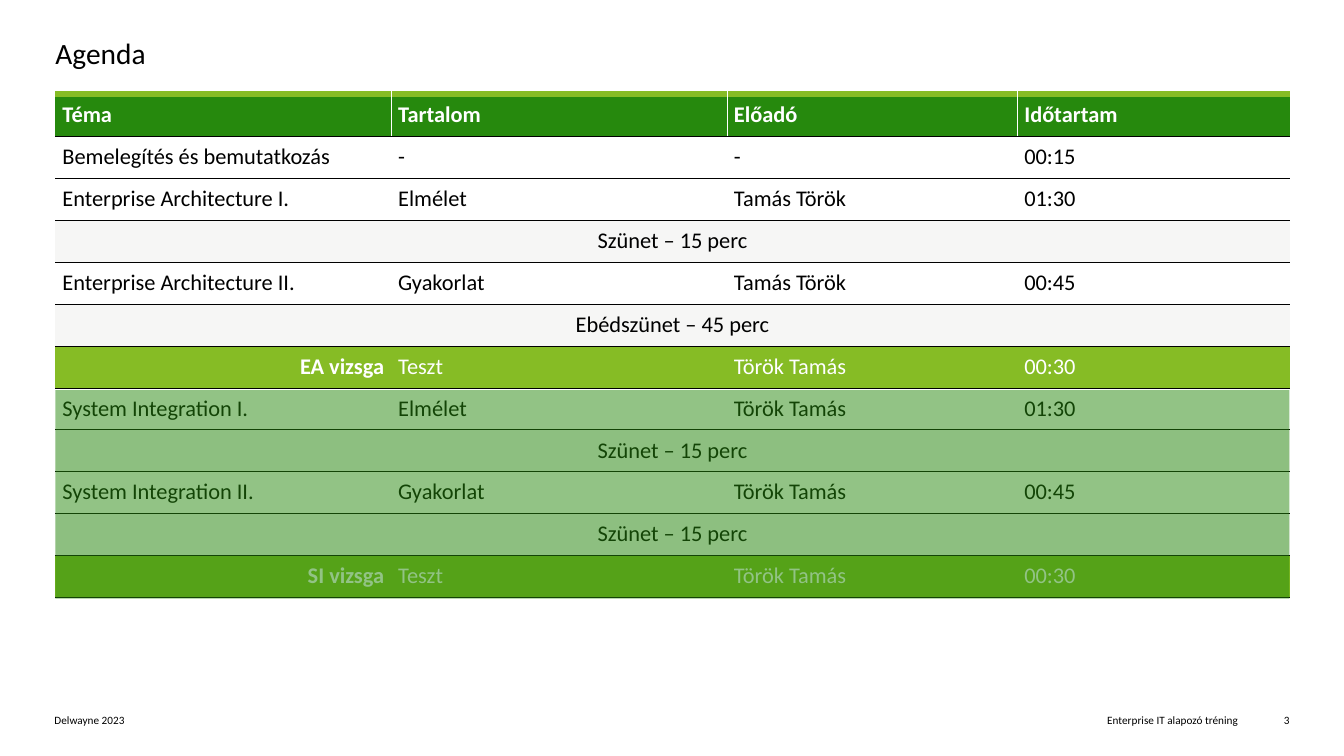
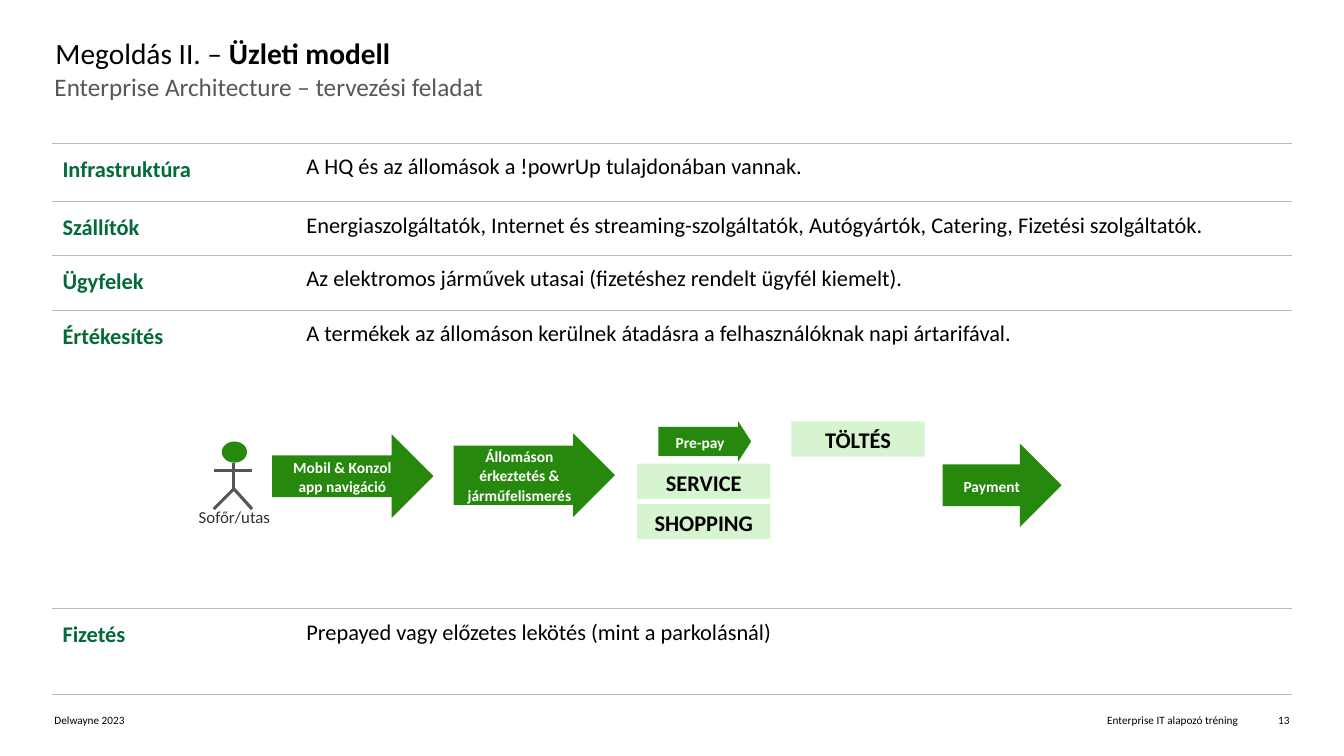
from lxml.etree import SubElement
from pptx import Presentation
from pptx.dml.color import RGBColor
from pptx.enum.shapes import MSO_CONNECTOR, MSO_SHAPE
from pptx.enum.text import MSO_ANCHOR, PP_ALIGN
from pptx.oxml.ns import qn
from pptx.util import Inches, Pt

BLACK = RGBColor(0x00, 0x00, 0x00)
WHITE = RGBColor(0xFF, 0xFF, 0xFF)
GREEN = RGBColor(0x26, 0x89, 0x0D)
LIME = RGBColor(0x86, 0xBC, 0x25)
MINT = RGBColor(0xD7, 0xF4, 0xD0)
FOREST = RGBColor(0x04, 0x6A, 0x38)
PALE = RGBColor(0xF6, 0xF6, 0xF5)
SILVER = RGBColor(0xBB, 0xBC, 0xBC)
GRAY = RGBColor(0x57, 0x57, 0x57)
SLATE = RGBColor(0x53, 0x56, 0x5A)
DARK = RGBColor(0x31, 0x31, 0x31)

FONT = "Calibri"
PLAIN = "{2D5ABB26-0587-4C30-8999-92F81FD0307C}"
LEFT, MID, RIGHT = PP_ALIGN.LEFT, PP_ALIGN.CENTER, PP_ALIGN.RIGHT
EDGE, WIDE = 0.55, 12.24

HEADS = ("Téma", "Tartalom", "Előadó", "Időtartam")
PLAN = (
    ("head", HEADS),
    ("talk", ("Bemelegítés és bemutatkozás", "-", "-", "00:15")),
    ("talk", ("Enterprise Architecture I.", "Elmélet", "Tamás Török", "01:30")),
    ("rest", ("Szünet – 15 perc",)),
    ("talk", ("Enterprise Architecture II.", "Gyakorlat", "Tamás Török", "00:45")),
    ("rest", ("Ebédszünet – 45 perc",)),
    ("exam", ("EA vizsga", "Teszt", "Török Tamás", "00:30")),
    ("talk", ("System Integration I.", "Elmélet", "Török Tamás", "01:30")),
    ("rest", ("Szünet – 15 perc",)),
    ("talk", ("System Integration II.", "Gyakorlat", "Török Tamás", "00:45")),
    ("rest", ("Szünet – 15 perc",)),
    ("exam", ("SI vizsga", "Teszt", "Török Tamás", "00:30")),
)
KINDS = {
    "head": dict(fill=GREEN, color=WHITE, bold=(True, True), align=LEFT),
    "talk": dict(fill=None, color=BLACK, bold=(False, False), align=LEFT),
    "rest": dict(fill=PALE, color=BLACK, bold=(False, False), align=MID),
    "exam": dict(fill=LIME, color=WHITE, bold=(True, False), align=RIGHT),
}
MODEL = (
    (0.58, "Infrastruktúra", "A HQ és az állomások a !powrUp tulajdonában vannak."),
    (0.53, "Szállítók", "Energiaszolgáltatók, Internet és streaming-szolgáltatók, "
     "Autógyártók, Catering, Fizetési szolgáltatók."),
    (0.55, "Ügyfelek", "Az elektromos járművek utasai (fizetéshez rendelt ügyfél kiemelt)."),
    (2.96, "Értékesítés", "A termékek az állomáson kerülnek átadásra a felhasználóknak "
     "napi ártarifával."),
    (0.85, "Fizetés", "Prepayed vagy előzetes lekötés (mint a parkolásnál)"),
)
ARROWS = (
    ("Állomáson érkeztetés & járműfelismerés", (2.62, 0.12, 1.6, 0.83), (0.71, 0.5)),
    ("Mobil & Konzol app navigáció", (0.82, 0.13, 1.6, 0.83), (0.5, 0.5)),
    ("Pre-pay", (4.65, 0, 0.92, 0.4), (0.72, 0.32)),
    ("Payment", (7.47, 0.22, 1.18, 0.83), (0.5, 0.5)),
)
TILES = (("TÖLTÉS", 5.97, 0), ("SERVICE", 4.44, 0.42), ("SHOPPING", 4.44, 0.82))


def write(frame, parts, size, color=BLACK, align=LEFT, pitch=None):
    """Fill a text frame with one paragraph of (text, bold) runs."""
    line = frame.paragraphs[0]
    for key, value in dict(alignment=align, line_spacing=pitch).items():
        setattr(line, key, value)
    for text, bold in parts:
        run = line.add_run()
        run.text = text
        for key, value in dict(name=FONT, size=Pt(size), bold=bold).items():
            setattr(run.font, key, value)
        run.font.color.rgb = color


def inset(item, gap, anchor=MSO_ANCHOR.TOP):
    """Set equal margins and the anchor of a cell or text frame."""
    for side in ("left", "top", "right", "bottom"):
        setattr(item, f"margin_{side}", Inches(gap))
    item.vertical_anchor = anchor


def label(slide, box, parts, size, **look):
    """Place a text box without margins."""
    frame = slide.shapes.add_textbox(*map(Inches, box)).text_frame
    frame.word_wrap = True
    inset(frame, 0)
    write(frame, parts, size, **look)


def block(slide, kind, box, fill):
    """Place a flat shape of one colour."""
    shape = slide.shapes.add_shape(kind, *map(Inches, box))
    shape.shadow.inherit = False
    shape.fill.solid()
    shape.fill.fore_color.rgb = fill
    shape.line.fill.background()
    return shape


def badge(slide, kind, box, fill, text, size, color):
    """Place a flat shape with bold centred text."""
    shape = block(slide, kind, box, fill)
    shape.text_frame.word_wrap = True
    inset(shape.text_frame, 0.1, MSO_ANCHOR.MIDDLE)
    write(shape.text_frame, [(text, True)], size, color, MID, 1.06)
    return shape


def stroke(slide, start, end):
    """Draw one plain line."""
    line = slide.shapes.add_connector(
        MSO_CONNECTOR.STRAIGHT, *map(Inches, start + end))
    line.line.color.rgb = SLATE
    line.line.width = Pt(2.25)
    SubElement(line._element.spPr, qn("a:effectLst"))


def border(cell, sides):
    """Draw the given sides of a cell, as {side: (colour, width)}."""
    props = cell._tc.get_or_add_tcPr()
    drawn = [side for side in "LRTB" if side in sides]
    for spot, side in enumerate(drawn):
        color, width = sides[side]
        edge = SubElement(props, qn(f"a:ln{side}"), w=str(Pt(width)))
        tint = SubElement(edge, qn("a:solidFill"))
        SubElement(tint, qn("a:srgbClr"), val=str(color))
        props.insert(spot, edge)


def grid(slide, box, cols, rows):
    """Add a table without style, sized by its columns and rows."""
    shape = slide.shapes.add_table(len(rows), len(cols), *map(Inches, box))
    table = shape.table
    table._tbl.tblPr.find(qn("a:tableStyleId")).text = PLAIN
    for col, width in zip(table.columns, cols):
        col.width = Inches(width)
    for row, height in zip(table.rows, rows):
        row.height = Inches(height)
    return table


def paint(cell, fill):
    """Fill a cell, or leave it clear."""
    if fill is None:
        cell.fill.background()
    else:
        cell.fill.solid()
        cell.fill.fore_color.rgb = fill


def base(deck, title, page):
    """Add a slide with its title and footers."""
    slide = deck.slides.add_slide(deck.slide_layouts[6])
    label(slide, (EDGE, 0.35, WIDE, 0.37), title, 21)
    foot = (
        (0.54, 5.35, "Delwayne 2023", LEFT),
        (6.93, 5.35, "Enterprise IT alapozó tréning", RIGHT),
        (12.45, 0.34, page, RIGHT),
    )
    for left, width, text, align in foot:
        label(slide, (left, 7.08, width, 0.13), [(text, False)], 8, align=align)
    return slide


def agenda(slide, box):
    """Build the timetable and the veil over its later rows."""
    left, top, width, height = box
    step = height / len(PLAN)
    table = grid(slide, box, (3.33, 3.33, 2.88, 2.7), [step] * len(PLAN))
    last = len(HEADS) - 1
    for r, (kind, texts) in enumerate(PLAN):
        look = KINDS[kind]
        if kind == "rest":
            table.cell(r, 0).merge(table.cell(r, last))
        for c in range(last + 1):
            cell = table.cell(r, c)
            paint(cell, look["fill"])
            sides = dict(T=(BLACK, 0.25), B=(BLACK, 0.25))
            if kind == "head":
                sides["T"] = (LIME, 4.5)
                if c > 0:
                    sides["L"] = (WHITE, 0.5)
                if c < last:
                    sides["R"] = (WHITE, 0.5)
            border(cell, sides)
            anchor = MSO_ANCHOR.MIDDLE if kind == "head" else MSO_ANCHOR.TOP
            inset(cell, 0.07, anchor)
            if c < len(texts):
                write(cell.text_frame, [(texts[c], look["bold"][c > 0])], 16,
                      look["color"], look["align"] if c == 0 else LEFT)
    veil = block(slide, MSO_SHAPE.RECTANGLE, (left, top + 2.94, width, 2.07), GREEN)
    tint = veil._element.spPr.find(qn("a:solidFill"))[0]
    SubElement(tint, qn("a:alpha"), val="50000")


def model(slide, box):
    """Build the table of the business model."""
    table = grid(slide, box, (2.42, 9.87), [row[0] for row in MODEL])
    rule = (SILVER, 0.5)
    for r, (_, name, text) in enumerate(MODEL):
        looks = ((name, True, FOREST, 1.1), (text, False, BLACK, None))
        for c, (words, bold, color, pitch) in enumerate(looks):
            cell = table.cell(r, c)
            paint(cell, None)
            border(cell, dict(T=rule, B=rule))
            inset(cell, 0.1)
            write(cell.text_frame, [(words, bold)], 16, color, pitch=pitch)


def rider(slide, left, top):
    """Draw the stick figure and its caption."""
    block(slide, MSO_SHAPE.OVAL, (left + 0.32, top, 0.25, 0.21), GREEN)
    lines = (
        ((0.44, 0.21), (0.44, 0.47)),
        ((0.44, 0.47), (0.24, 0.67)),
        ((0.44, 0.47), (0.62, 0.67)),
        ((0.62, 0.29), (0.24, 0.29)),
    )
    for ends in lines:
        stroke(slide, *((left + x, top + y) for x, y in ends))
    label(slide, (left, top + 0.65, 0.89, 0.2), [("Sofőr/utas", False)], 12,
          color=DARK, align=MID)


def flow(slide, left, top):
    """Draw the customer's way from the app to payment."""
    rider(slide, left, top + 0.2)
    for text, (x, y, width, height), bends in ARROWS:
        arrow = badge(slide, MSO_SHAPE.RIGHT_ARROW,
                      (left + x, top + y, width, height), GREEN, text, 11, WHITE)
        for spot, bend in enumerate(bends):
            arrow.adjustments[spot] = bend
    for text, x, y in TILES:
        badge(slide, MSO_SHAPE.RECTANGLE, (left + x, top + y, 1.32, 0.35),
              MINT, text, 16, BLACK)


def main():
    """Build the deck and save it."""
    deck = Presentation()
    size = dict(slide_width=Inches(13.33), slide_height=Inches(7.5))
    for key, value in size.items():
        setattr(deck, key, value)
    first = base(deck, [("Agenda", False)], "3")
    agenda(first, (EDGE, 0.93, WIDE, 5))
    second = base(deck, [("Megoldás II. – ", False), ("Üzleti modell", True)], "13")
    label(second, (0.54, 0.71, 12.25, 0.37),
          [("Enterprise Architecture – tervezési feladat", False)], 18, color=GRAY)
    model(second, (0.52, 1.42, 12.29, 5.47))
    flow(second, 1.88, 4.18)
    deck.save("out.pptx")


if __name__ == "__main__":
    main()
